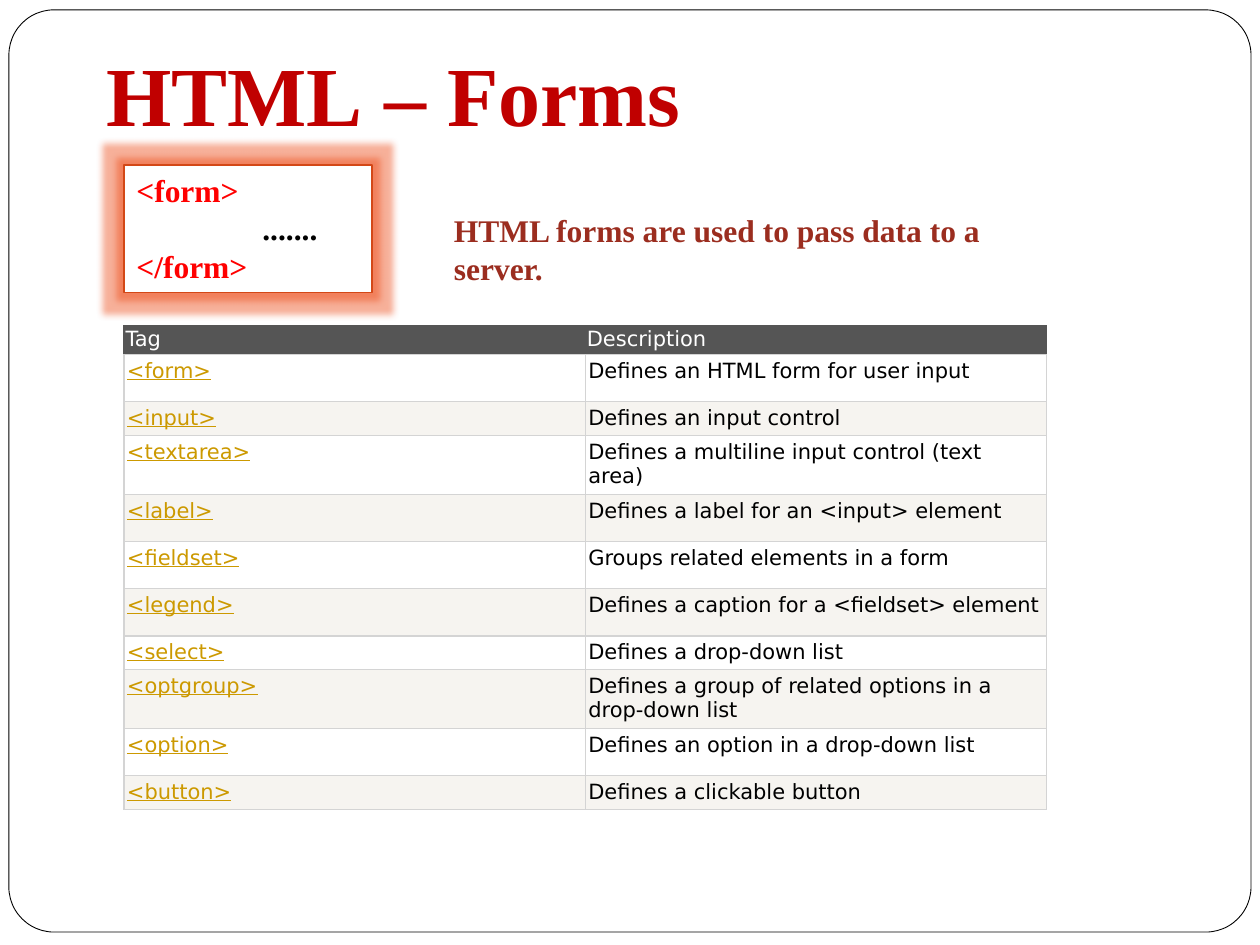
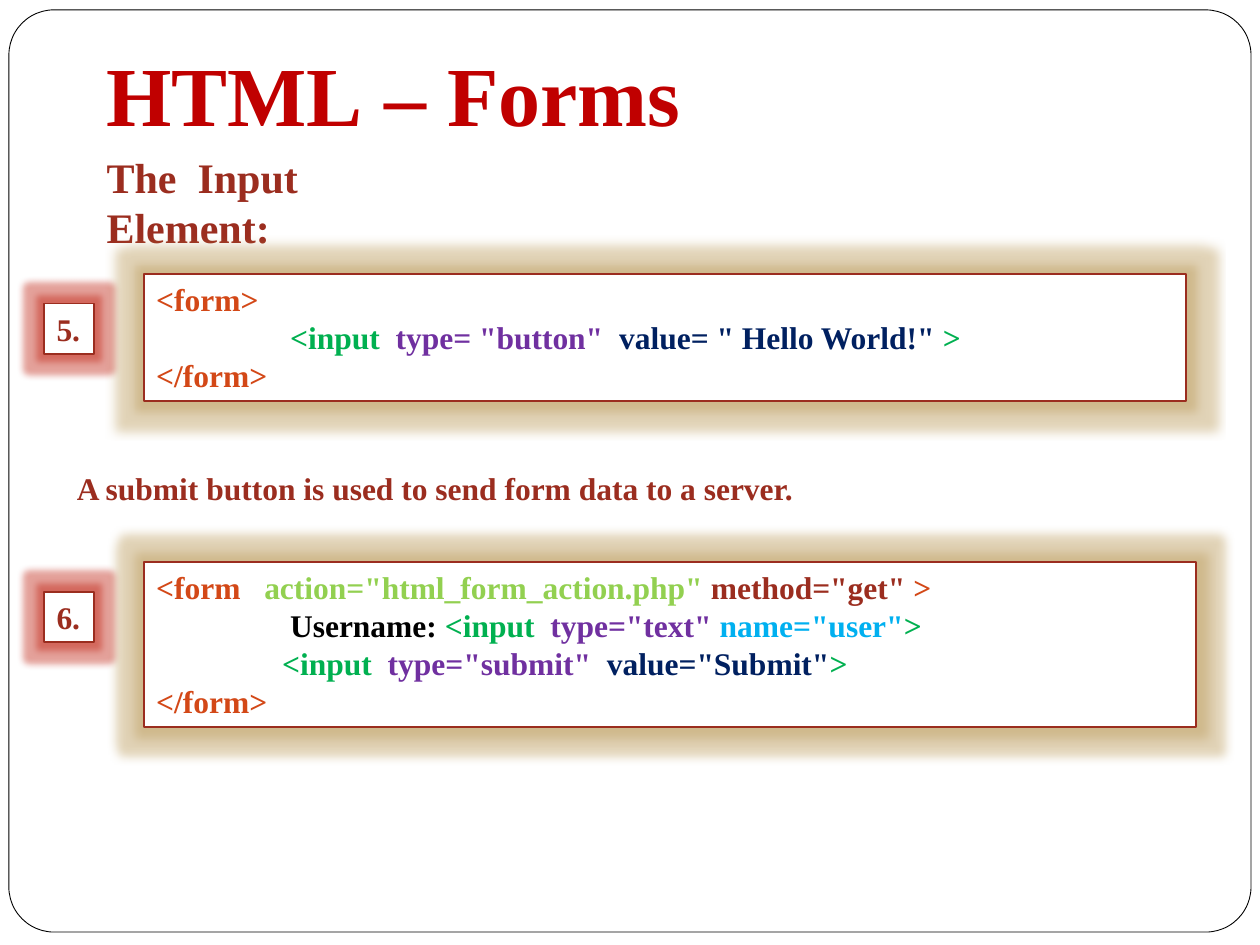
import pptx
import pptx.dml.color
import pptx.enum.lang
import pptx.enum.shapes
import pptx.enum.text
import pptx.oxml
import pptx.oxml.ns
import pptx.util

Cm, Pt = pptx.util.Cm, pptx.util.Pt
ANCHOR = pptx.enum.text.MSO_ANCHOR
SHAPE = pptx.enum.shapes.MSO_SHAPE
NAMESPACE = pptx.oxml.ns.nsdecls("a")

SERIF, SANS = "Times New Roman", "DejaVu Sans"
COLORS = {
    "white": "FFFFFF", "black": "000000", "title": "C00000", "brick": "9B2D1F",
    "orange": "D34817", "red": "FF0000", "green": "00B050", "purple": "7030A0",
    "navy": "002060", "lime": "92D050", "sky": "00B0F0", "gold": "CC9900",
    "header": "555555", "stripe": "F6F4F0", "rule": "D4D4D4",
    "orange_glow": "EB3A00", "red_glow": "BC1403", "tan_glow": "B6934D",
}

TITLE = [[("HTML", "title"), (" – Forms", "title")]]
PURPOSE = "HTML forms are used to pass data to a server."
FORM_SYNTAX = [
    [("<form>", "red")],
    [("\t.......", "black")],
    [("</form>", "red")],
]
TAG_HEADER = ("Tag", "Description")
HEADER_HEIGHT, SHORT, TALL, TWO_LINE = 0.58, 0.68, 0.95, 1.19
TAGS = [
    ("<form>", "Defines an HTML form for user input", TALL),
    ("<input>", "Defines an input control", SHORT),
    ("<textarea>", "Defines a multiline input control (text area)", TWO_LINE),
    ("<label>", "Defines a label for an <input> element", TALL),
    ("<fieldset>", "Groups related elements in a form", TALL),
    ("<legend>", "Defines a caption for a <fieldset> element", TALL),
    ("<select>", "Defines a drop-down list", SHORT),
    ("<optgroup>", "Defines a group of related options in a drop-down list", TWO_LINE),
    ("<option>", "Defines an option in a drop-down list", TALL),
    ("<button>", "Defines a clickable button", SHORT),
]

INPUT_HEADING = "The  Input  Element:"
SUBMIT_NOTE = "A submit button is used to send form data to a server."
BUTTON_CODE = [
    [("<form>", "orange")],
    [("\t ", "black"), ("<input  ", "green"), ('type= "button"  ', "purple"),
     ('value= " Hello World!" ', "navy"), (">", "green")],
    [("</form>", "orange")],
]
SUBMIT_CODE = [
    [("<form   ", "orange"), ('action="html_form_action.php" ', "lime"),
     ('method="get" ', "brick"), (">", "orange")],
    [("\t Username: ", "black"), ("<input  ", "green"), ('type="text" ', "purple"),
     ('name="user"', "sky"), (">", "green")],
    [("\t<input  ", "green"), ('type="submit"  ', "purple"),
     ('value="Submit"', "navy"), (">", "green")],
    [("</form>", "orange")],
]
EXAMPLES = [
    ("5.", BUTTON_CODE, 5.52, 21.01, 2.57),
    ("6.", SUBMIT_CODE, 11.33, 21.21, 3.33),
]


def rgb(color):
    return pptx.dml.color.RGBColor.from_string(COLORS[color])


def write(frame, text, color="brick", size=18, font=SERIF, bold=True, underline=False,
          wrap=True, anchor=ANCHOR.TOP):
    lines = [[(text, color)]] if isinstance(text, str) else text
    frame.word_wrap = wrap
    frame.vertical_anchor = anchor
    for index, line in enumerate(lines):
        paragraph = frame.paragraphs[0] if index == 0 else frame.add_paragraph()
        paragraph.alignment = pptx.enum.text.PP_ALIGN.LEFT
        if line[0][0].startswith("\t"):
            paragraph._p.get_or_add_pPr().append(pptx.oxml.parse_xml(
                f'<a:tabLst {NAMESPACE}><a:tab pos="{Cm(2.54)}" algn="l"/></a:tabLst>'))
        for words, shade in line:
            run = paragraph.add_run()
            run.text = words
            run.font.size, run.font.name = Pt(size), font
            run.font.bold, run.font.underline = bold, underline
            run.font.color.rgb = rgb(shade)


def add_label(slide, box, text, **style):
    label = slide.shapes.add_textbox(*map(Cm, box))
    write(label.text_frame, text, **style)
    return label


def add_panel(slide, kind, box, line, width):
    panel = slide.shapes.add_shape(kind, *map(Cm, box))
    panel.shadow.inherit = False
    panel.fill.solid()
    panel.fill.fore_color.rgb = rgb("white")
    panel.line.color.rgb = rgb(line)
    panel.line.width = Pt(width)
    return panel


def add_glowing_box(slide, box, text, line, glow, radius, **style):
    panel = add_panel(slide, SHAPE.RECTANGLE, box, line, 1)
    effects = panel.element.spPr.find(pptx.oxml.ns.qn("a:effectLst"))
    effects.append(pptx.oxml.parse_xml(
        f'<a:glow {NAMESPACE} rad="{Pt(radius)}">'
        f'<a:srgbClr val="{COLORS[glow]}"><a:alpha val="40000"/></a:srgbClr></a:glow>'))
    write(panel.text_frame, text, **style)


def add_slide(deck):
    slide = deck.slides.add_slide(deck.slide_layouts[6])
    frame = add_panel(slide, SHAPE.ROUNDED_RECTANGLE, (0.18, 0.2, 25.04, 18.59), "black", 0.5)
    frame.adjustments[0] = 0.049
    title = add_label(slide, (1.9, 0.74, 22, 2.31), TITLE, size=48, anchor=ANCHOR.BOTTOM)
    title.text_frame.margin_bottom = Cm(0.15)
    first_word = title.text_frame.paragraphs[0].runs[0]
    first_word.font.language_id = pptx.enum.lang.MSO_LANGUAGE_ID.ENGLISH_UK
    return slide


def style_cell(cell, text, fill, sides, margins, **style):
    cell.margin_left, cell.margin_right, cell.margin_top = map(Cm, margins)
    cell.margin_bottom = cell.margin_top
    write(cell.text_frame, text, size=12, font=SANS, bold=False, **style)
    properties = cell._tc.get_or_add_tcPr()
    for edge in ("lnL", "lnR", "lnT", "lnB"):
        shade = COLORS["rule" if edge == "lnB" else sides]
        properties.append(pptx.oxml.parse_xml(
            f'<a:{edge} {NAMESPACE} w="{Pt(0.75)}">'
            f'<a:solidFill><a:srgbClr val="{shade}"/></a:solidFill></a:{edge}>'))
    cell.fill.solid()
    cell.fill.fore_color.rgb = rgb(fill)


def add_tag_table(slide):
    heights = [HEADER_HEIGHT] + [height for _, _, height in TAGS]
    table = slide.shapes.add_table(len(heights), 2, Cm(2.5), Cm(6.57),
                                   Cm(18.6), Cm(sum(heights))).table
    table.first_row = table.horz_banding = False
    for row, height in zip(table.rows, heights):
        row.height = Cm(height)
    for column, heading in enumerate(TAG_HEADER):
        style_cell(table.cell(0, column), heading, "header", "header", (0.03, 0.03, 0.03),
                   color="white")
    body_margins = (0.06, 0.12, 0.08)
    for row, (tag, description, _) in enumerate(TAGS, start=1):
        fill = "white" if row % 2 else "stripe"
        style_cell(table.cell(row, 0), tag, fill, "rule", body_margins,
                   color="gold", underline=True)
        style_cell(table.cell(row, 1), description, fill, "rule", body_margins, color="black")


def build_tags_slide(deck):
    slide = add_slide(deck)
    add_tag_table(slide)
    add_glowing_box(slide, (2.5, 3.33, 5, 2.57), FORM_SYNTAX, "orange", "orange_glow", 8)
    add_label(slide, (8.9, 4.13, 12.8, 1.02), PURPOSE)


def build_input_slide(deck):
    slide = add_slide(deck)
    add_label(slide, (1.9, 2.92, 7.7, 1.27), INPUT_HEADING, size=24)
    for number, code, top, width, height in EXAMPLES:
        add_glowing_box(slide, (2.9, top, width, height), code, "brick", "tan_glow", 11)
        add_glowing_box(slide, (0.89, top + 0.6, 1, 1.02), number, "brick", "red_glow", 8,
                        wrap=False)
    add_label(slide, (1.3, 9.34, 16, 1.02), SUBMIT_NOTE)


def main():
    deck = pptx.Presentation()
    deck.slide_width, deck.slide_height = Cm(25.4), Cm(19.05)
    build_tags_slide(deck)
    build_input_slide(deck)
    deck.save("out.pptx")


if __name__ == "__main__":
    main()
